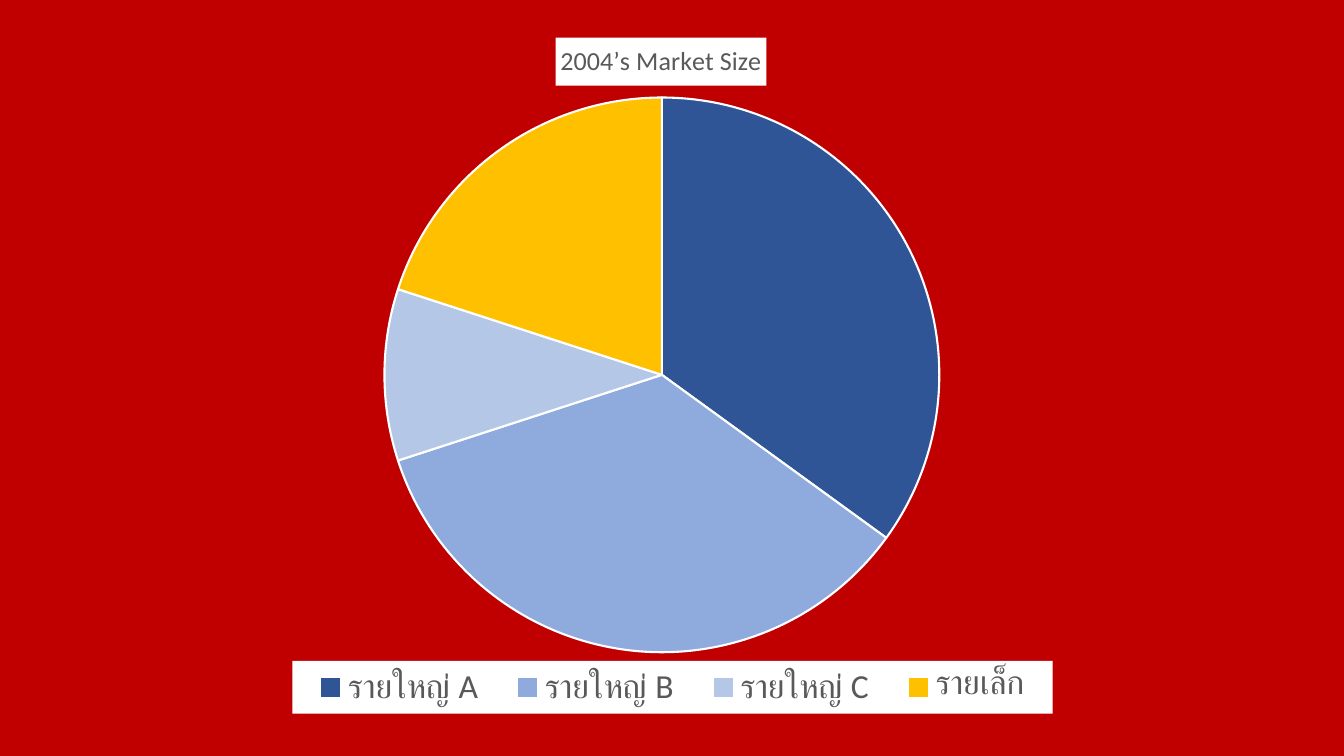
from lxml import etree
from pptx import Presentation
from pptx.chart.data import CategoryChartData
from pptx.dml.color import RGBColor
from pptx.enum.chart import XL_CHART_TYPE, XL_LEGEND_POSITION
from pptx.oxml import parse_xml
from pptx.oxml.ns import nsdecls, qn
from pptx.util import Inches, Pt

PIE = XL_CHART_TYPE.PIE
BOTTOM = XL_LEGEND_POSITION.BOTTOM

RED = RGBColor(0xC0, 0x00, 0x00)
WHITE = RGBColor(0xFF, 0xFF, 0xFF)
GREY = RGBColor(0x59, 0x59, 0x59)
BLACK = RGBColor(0x00, 0x00, 0x00)
DARK_BLUE = RGBColor(0x2F, 0x55, 0x97)
MID_BLUE = RGBColor(0x8F, 0xAA, 0xDC)
PALE_BLUE = RGBColor(0xB4, 0xC7, 0xE7)
GOLD = RGBColor(0xFF, 0xC0, 0x00)

FONT = "Calibri"
MARKET = [
    ("รายใหญ่ A", 35, DARK_BLUE),
    ("รายใหญ่ B", 35, MID_BLUE),
    ("รายใหญ่ C", 10, PALE_BLUE),
    ("รายเล็ก", 20, GOLD),
]


def style_font(font, size, color):
    font.name = FONT
    font.size = Pt(size)
    font.bold = False
    font.color.rgb = color


def place(element, after, x, y, w=None, h=None, inner=False):
    """Give a chart part a manual layout, in fractions of the chart."""
    for old in element.findall(qn("c:layout")):
        element.remove(old)
    layout = parse_xml(f"<c:layout {nsdecls('c')}><c:manualLayout/></c:layout>")
    settings = [("layoutTarget", "inner")] if inner else []
    settings += [("xMode", "edge"), ("yMode", "edge"), ("x", x), ("y", y)]
    if w is not None:
        settings += [("w", w), ("h", h)]
    for tag, value in settings:
        etree.SubElement(layout[0], qn(f"c:{tag}")).set("val", str(value))
    if after is None:
        element.insert(0, layout)
    else:
        element.find(qn(after)).addnext(layout)


def add_title(chart, text):
    title = chart.chart_title
    para = title.text_frame.paragraphs[0]
    para.text = text
    style_font(para.font, 18.6, GREY)
    title.format.fill.solid()
    title.format.fill.fore_color.rgb = WHITE
    place(title._element, "c:tx", 0.41, 0.03)


def add_legend(chart):
    chart.has_legend = True
    legend = chart.legend
    legend.position = BOTTOM
    legend.include_in_layout = False
    style_font(legend.font, 24, GREY)
    element = legend._element
    place(element, "c:legendPos", 0.187, 0.905, 0.644, 0.074)
    # White panel behind the legend
    element.find(qn("c:txPr")).addprevious(parse_xml(
        f"<c:spPr {nsdecls('c', 'a')}><a:solidFill>"
        f'<a:srgbClr val="{WHITE}"/></a:solidFill></c:spPr>'))


def add_market_pie(page):
    data = CategoryChartData()
    data.categories = [name for name, _, _ in MARKET]
    data.add_series("Series 1", [share for _, share, _ in MARKET])
    frame = page.shapes.add_chart(
        PIE, Inches(0.71), Inches(0.16), Inches(11.71), Inches(7.07), data)
    chart = frame.chart
    style_font(chart.font, 10, BLACK)

    # Slices
    plot = chart.plots[0]
    plot.vary_by_categories = True
    for index, (_, _, color) in enumerate(MARKET):
        look = plot.series[0].points[index].format
        look.fill.solid()
        look.fill.fore_color.rgb = color
        look.line.color.rgb = WHITE
        look.line.width = Pt(1.5)

    add_title(chart, "2004’s Market Size")
    add_legend(chart)
    plot_area = chart._chartSpace.chart.plotArea
    place(plot_area, None, 0.265, 0.114, 0.47, 0.779, inner=True)


def main():
    deck = Presentation()
    deck.slide_width = Inches(13.33)
    deck.slide_height = Inches(7.5)
    page = deck.slides.add_slide(deck.slide_layouts[6])
    page.background.fill.solid()
    page.background.fill.fore_color.rgb = RED
    add_market_pie(page)
    deck.save("out.pptx")


if __name__ == "__main__":
    main()
